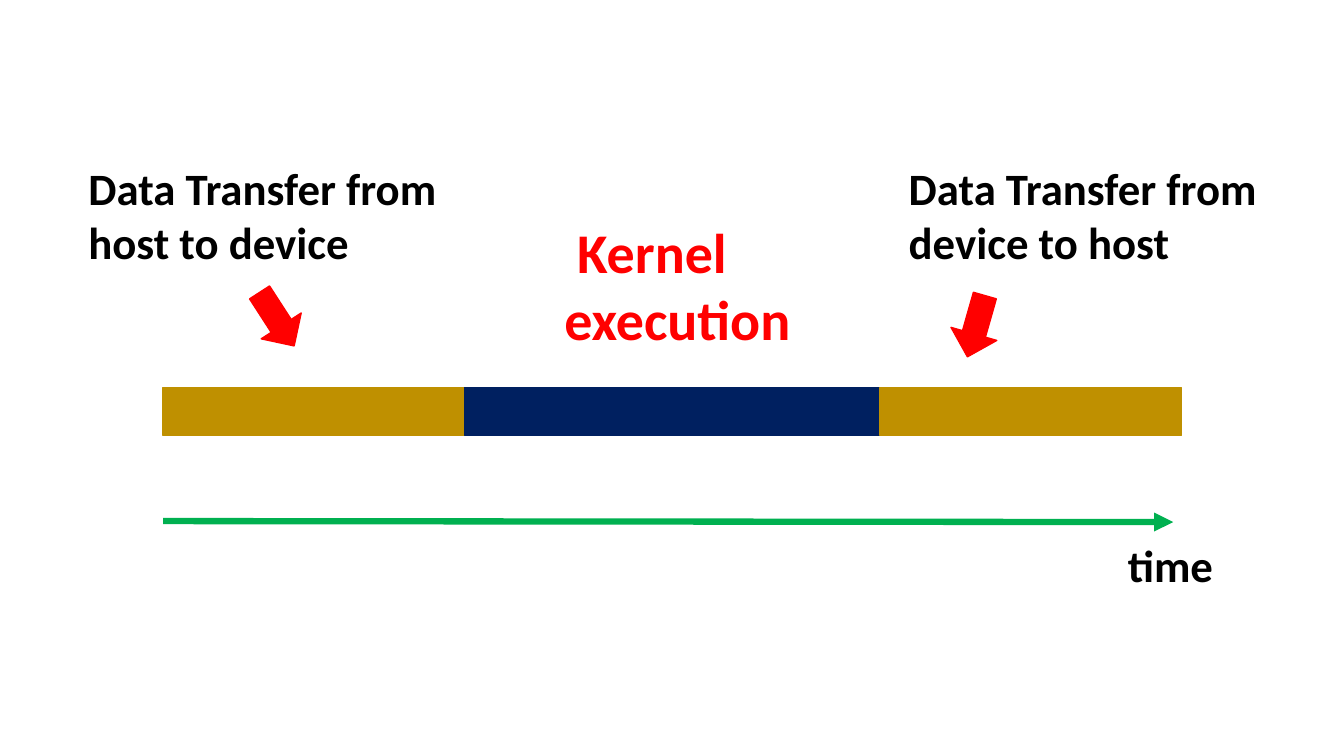
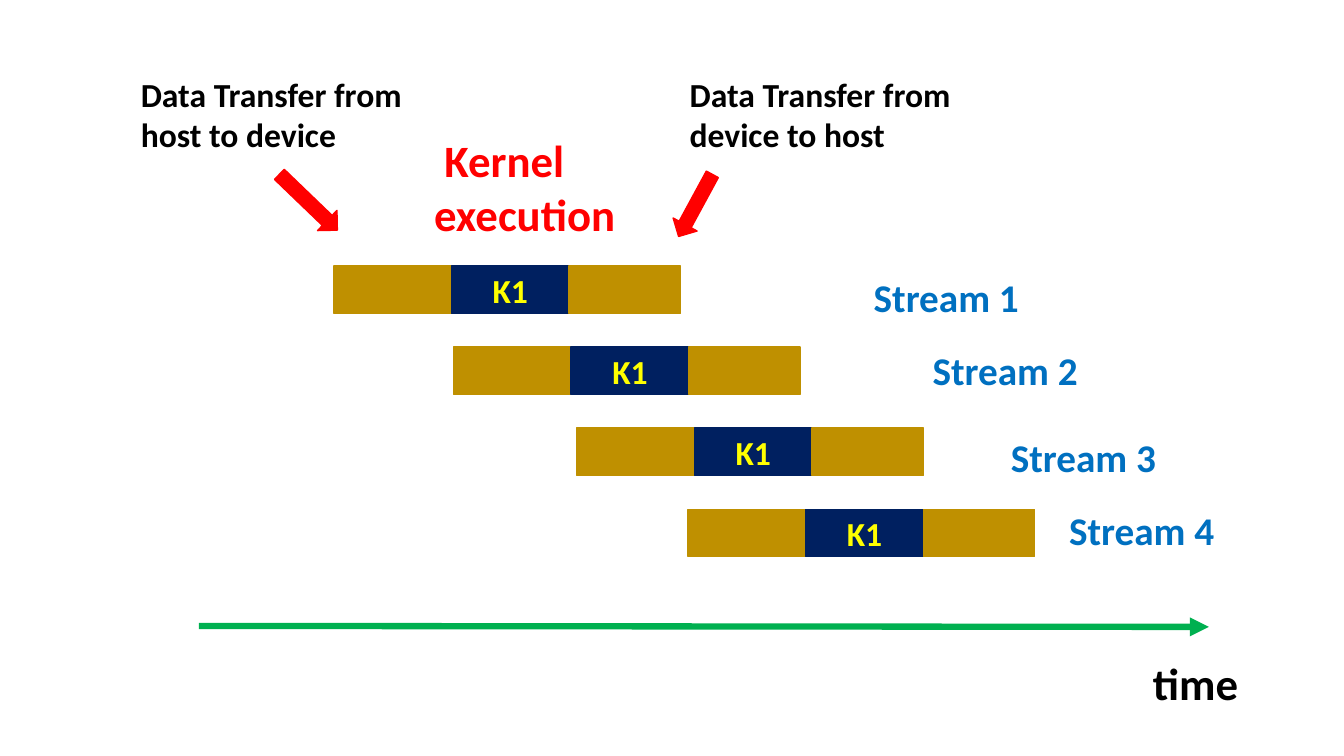
from pptx import Presentation
from pptx.dml.color import RGBColor
from pptx.enum.shapes import MSO_CONNECTOR as Conn, MSO_SHAPE as Shape
from pptx.enum.text import MSO_ANCHOR as Anchor, MSO_AUTO_SIZE as Auto, PP_ALIGN as Align
from pptx.oxml.ns import qn
from pptx.util import Pt
from lxml import etree

# Shared style
FONT = "Calibri"
BLACK, RED, BLUE, YELLOW = "000000", "FF0000", "0070C0", "FFFF00"
GOLD, NAVY, GREEN = "BF9000", "002060", "00B050"
BAR_H = 34
AXIS_W, AXIS_DROP = 721.5, 0.7


def rgb(hex_color):
    return RGBColor.from_string(hex_color)


def write(tf, text, size, color):
    p = tf.paragraphs[0]
    r = p.add_run()
    r.text = text
    style = {"name": FONT, "size": Pt(size), "bold": True}
    for key, value in style.items():
        setattr(r.font, key, value)
    r.font.color.rgb = rgb(color)
    return p


def label(s, box, text, size, color=BLACK):
    tf = s.shapes.add_textbox(*map(Pt, box)).text_frame
    for key, value in {"word_wrap": True, "auto_size": Auto.SHAPE_TO_FIT_TEXT}.items():
        setattr(tf, key, value)
    return write(tf, text, size, color)


def solid(s, kind, box, color, rotation=0):
    sp = s.shapes.add_shape(kind, *map(Pt, box))
    sp.shadow.inherit = False
    sp.rotation = rotation
    sp.fill.solid()
    sp.fill.fore_color.rgb = rgb(color)
    sp.line.color.rgb = rgb(color)
    sp.line.width = Pt(1)
    return sp


# Transfer, kernel, transfer side by side
def stream_bar(s, x, y, widths, kernel=None):
    for i, (w, color) in enumerate(zip(widths, (GOLD, NAVY, GOLD))):
        sp = solid(s, Shape.RECTANGLE, (x, y, w, BAR_H), color)
        if kernel and color == NAVY:
            sp.text_frame.vertical_anchor = Anchor.MIDDLE
            write(sp.text_frame, kernel, 24, YELLOW).alignment = Align.CENTER
        x += w


# Time arrow with its name below the head
def time_axis(s, x, y, label_dx, label_dy):
    line = s.shapes.add_connector(Conn.STRAIGHT, Pt(x), Pt(y),
                                  Pt(x + AXIS_W), Pt(y + AXIS_DROP))
    line.line.color.rgb = rgb(GREEN)
    line.line.width = Pt(4.5)
    etree.SubElement(line.line._get_or_add_ln(), qn("a:tailEnd"), type="triangle")
    etree.SubElement(line._element.spPr, qn("a:effectLst"))
    label(s, (x + label_dx, y + label_dy, 78.5, 46), "time", 32)


# Captions of the two transfers, each with a red arrow
def transfer_captions(s, boxes, size, arrows):
    routes = ("host to device", "device to host")
    for route, box, (arrow_box, angle) in zip(routes, boxes, arrows):
        label(s, box, f"Data Transfer from {route}", size)
        solid(s, Shape.RIGHT_ARROW, arrow_box, RED, angle)


def kernel_caption(s, box, size):
    p = label(s, box, "Kernel execution", size, RED)
    p._p.get_or_add_pPr().set("indent", str(Pt(size * 0.23)))


def serial_slide(s):
    stream_bar(s, 116.5, 277, (215.5, 296.5, 215.5))
    transfer_captions(
        s, ((56, 111.5, 268.5, 85), (642, 111.5, 317.5, 85)), 32,
        (((175, 211, 45.5, 34), 57.1), ((674.5, 216, 45.5, 34), 105.9)))
    kernel_caption(s, (396, 152, 279.5, 104.5), 40)
    time_axis(s, 116.5, 372.2, 682, 8)


def streams_slide(s):
    # Left edge of each bar, then left and top of its stream name
    streams = ((238.5, 617, 192), (324, 659, 244), (412, 715, 306), (491.5, 756.5, 358))
    for i, (x, name_x, name_y) in enumerate(streams):
        stream_bar(s, x, 190 + 57.9 * i, (84, 84, 79.5), "K1")
        label(s, (name_x, name_y, 195, 41), f"Stream {i + 1}", 28, BLUE)
    transfer_captions(
        s, ((93.5, 49, 209.5, 65.5), (485.5, 49, 209.5, 65.5)), 24,
        (((191.5, 134.5, 57.5, 20), 43.9), ((471.5, 137, 50.5, 19.5), 118.5)))
    kernel_caption(s, (303, 91.5, 188.5, 85), 32)
    time_axis(s, 142, 447.1, 674.5, 18)


def main():
    prs = Presentation()
    prs.slide_width, prs.slide_height = Pt(960), Pt(540)
    for build in (serial_slide, streams_slide):
        build(prs.slides.add_slide(prs.slide_layouts[6]))
    prs.save("out.pptx")


if __name__ == "__main__":
    main()
